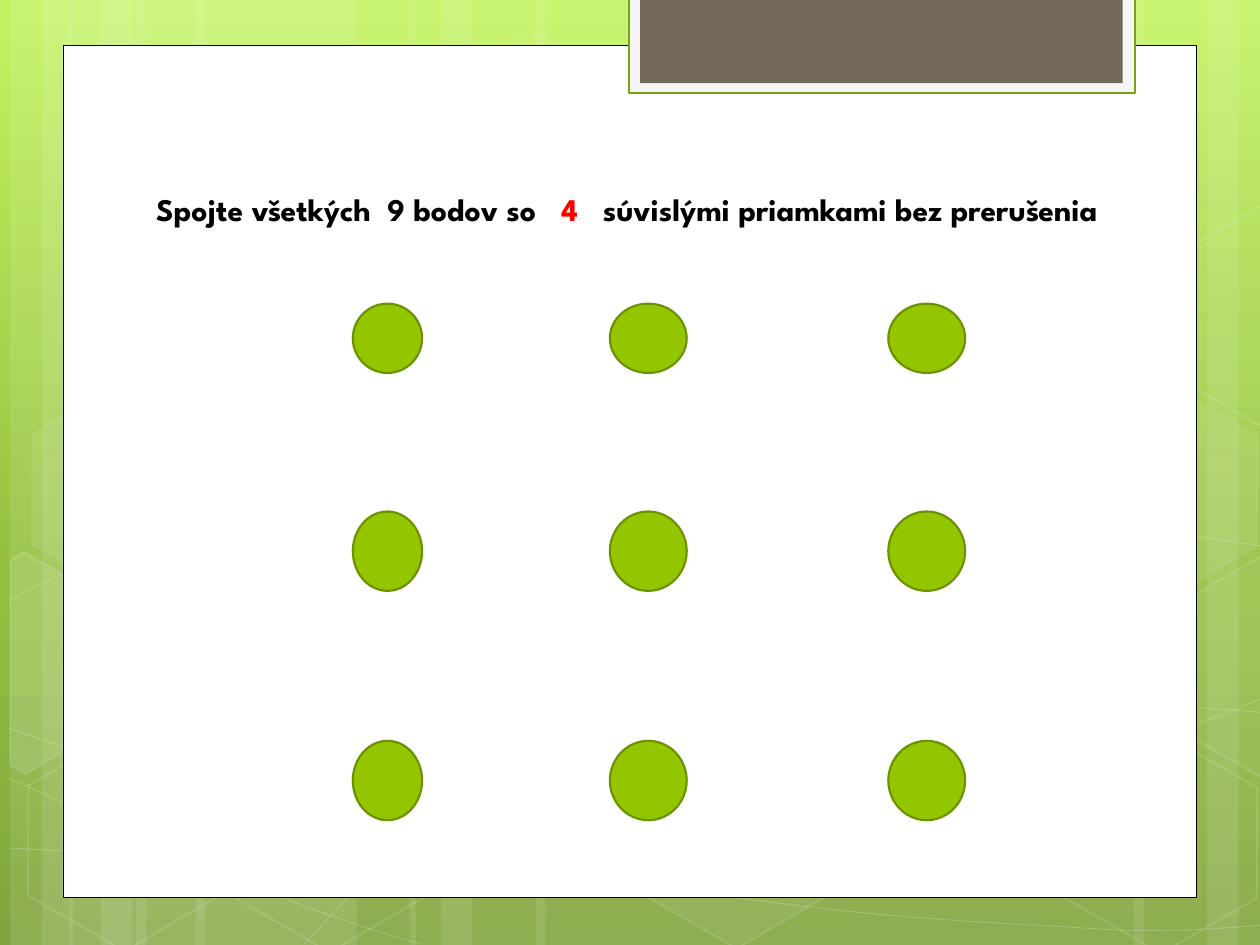
from copy import deepcopy
from math import cos, radians, sin

from lxml import etree
from pptx import Presentation
from pptx.dml.color import RGBColor
from pptx.enum.shapes import MSO_SHAPE
from pptx.enum.text import MSO_ANCHOR
from pptx.oxml.ns import qn
from pptx.util import Inches, Pt

RECTANGLE, ELLIPSE, HEXAGON = MSO_SHAPE.RECTANGLE, MSO_SHAPE.OVAL, MSO_SHAPE.HEXAGON
BOTTOM = MSO_ANCHOR.BOTTOM
TILT = 30

COLORS = {
    "white": "FFFFFF", "black": "000000", "red": "FF0000",
    "sky": "C3F35F", "leaf": "93BF3F", "moss": "81A53E",
    "tab": "F5F5F5", "tab_edge": "74A510", "tab_core": "71685A",
    "dot": "94C600", "dot_edge": "6D9200",
}
BACKGROUND = [(0, "sky"), (0.62, "leaf"), (1, "moss")]
TITLE_FONT = {"name": "League Spartan", "size": Pt(18), "bold": True}
TITLE = [
    ("Spojte všetkých  9 bodov so   ", "black"),
    ("4 ", "red"),
    ("  súvislými priamkami bez prerušenia", "black"),
]

LEFT_BANDS = [(1.08, 1.75), (0.08, 0.5), (0.33, 0.83), (1.55, 1.75), (0.55, 0.5), (0.8, 0.83)]
RIGHT_BANDS = [(7.33, 1.75), (9.58, 0.5), (9, 0.83)]
MIDDLE_BANDS = [(4.25, 3.08), (3.25, 0.5), (3.5, 0.83)]
CURVES = [
    [(0.07, 6.73), (0.61, 6.76), (1.15, 6.79), (1.9, 6.78), (2.65, 6.77), (3.58, 6.75),
     (4.58, 6.65), (5.58, 6.55), (7, 6.36), (7.92, 6.17), (8.83, 5.98), (9.77, 5.68),
     (10.07, 5.51)],
    [(0.07, 4.77), (0.36, 4.61), (0.65, 4.46), (1.21, 4.31), (1.78, 4.16), (2.59, 3.94),
     (3.47, 3.87), (4.36, 3.8), (5.44, 3.79), (6.54, 3.87), (7.64, 3.95), (9.47, 4.26),
     (10.07, 4.34)],
    [(0.06, 6.17), (1.27, 6.72), (2.47, 7.27), (3.34, 7.49)],
    [(0.07, 5.78), (0.38, 5.89), (0.7, 6), (1.28, 6.16), (1.86, 6.31), (2.73, 6.56),
     (3.57, 6.73), (4.4, 6.9), (5.45, 7.08), (6.28, 7.18), (7.11, 7.29), (8, 7.33),
     (8.53, 7.36), (9.05, 7.4), (9.19, 7.38), (9.45, 7.38), (9.71, 7.37), (9.89, 7.35),
     (10.07, 7.34)],
    [(2.42, 7.49), (2.6, 7.29), (2.78, 7.09), (3.02, 6.91), (3.26, 6.73), (3.6, 6.53),
     (3.88, 6.39), (4.16, 6.25), (4.33, 6.19), (4.7, 6.09), (5.06, 5.99), (5.73, 5.85),
     (6.08, 5.78), (6.44, 5.71), (6.49, 5.71), (6.8, 5.69), (7.11, 5.66), (7.6, 5.63),
     (7.94, 5.62), (8.29, 5.61), (8.86, 5.62), (8.86, 5.62), (9.08, 5.62), (9.31, 5.62),
     (9.53, 5.62), (9.71, 5.63), (9.88, 5.64), (9.97, 5.65), (10.06, 5.66),
     (10.03, 5.65), (10.06, 5.66)],
]
HEXAGONS = [(3.34, 0.36, 4, 8), (4.97, 5.89, 6, 12)]
LEFT_HEXAGONS = [(0.11, 5.91, 0, 12), (0.14, 3.12, 7, 8), (1.74, 5.92, 0, 12),
                 (7.53, 4.53, 10, 12), (8.34, 5.93, 0, 12), (8.34, 3.14, 7, 8)]
LEFT_CUT = ([(0.08, 4.45), (0.19, 4.38), (0.96, 4.82), (0.95, 5.7), (0.2, 6.14),
             (0.08, 6.07)], (0.36, 5.35), 10)
RIGHT_CUTS = [
    ([(9.26, 4.85), (10.01, 4.41), (10.09, 4.46), (10.09, 6.13), (10.02, 6.17),
      (9.26, 5.73)], (9.85, 5.2), 4),
    ([(9.26, 2.07), (10.01, 1.63), (10.1, 1.68), (10.09, 3.35), (10.02, 3.39),
      (9.26, 2.95)], (9.85, 2.41), 0),
]
PANELS = [
    ((0.5, 0.36, 9, 6.76), "white", ("black", 0.5)),
    ((4.99, -0.02, 4.02, 0.76), "tab", ("tab_edge", 1.25)),
    ((5.08, -0.02, 3.83, 0.68), "tab_core", None),
]
DOT_COLUMNS = [(2.8, 0.55), (4.84, 0.61), (7.05, 0.61)]
DOT_ROWS = [(2.41, 0.55), (4.06, 0.63), (5.88, 0.63)]


def turn_back(point, center):
    """Undo the tilt of a point about a center."""
    angle = radians(TILT)
    x, y = point[0] - center[0], point[1] - center[1]
    return (center[0] + x * cos(angle) + y * sin(angle),
            center[1] - x * sin(angle) + y * cos(angle))


class SlidePainter:
    """Draw styled elements on the current slide."""

    def __init__(self, slide, colors):
        self.slide = slide
        self.colors = colors

    def rgb(self, name):
        return RGBColor.from_string(self.colors[name])

    def paint(self, fill, name, opacity=100):
        if not name or not opacity:
            fill.background()
            return
        fill.solid()
        fill.fore_color.rgb = self.rgb(name)
        if opacity < 100:
            color = fill._xPr.find(".//" + qn("a:srgbClr"))
            etree.SubElement(color, qn("a:alpha"), val=str(opacity * 1000))

    def style(self, shape, fill, line=None, opacity=100, line_opacity=100):
        shape.shadow.inherit = False
        self.paint(shape.fill, fill, opacity)
        edge, width = line or (None, 0)
        self.paint(shape.line.fill, edge, line_opacity)
        if edge:
            shape.line.width = Pt(width)
        return shape

    def background(self, stops):
        fill = self.slide.background.fill
        fill.gradient()
        fill.gradient_angle = 270
        stop_list = self.slide._element.find(".//" + qn("a:gsLst"))
        stop_list.append(deepcopy(stop_list[0]))
        for stop, (position, name) in zip(fill.gradient_stops, stops):
            stop.position = position
            stop.color.rgb = self.rgb(name)

    def shape(self, preset, box, fill, line=None, rotation=0, **opacities):
        shape = self.slide.shapes.add_shape(preset, *map(Inches, box))
        shape.rotation = rotation
        return self.style(shape, fill, line, **opacities)

    def bands(self, spans, rotation=0):
        for left, width in spans:
            self.shape(RECTANGLE, (left, 0, width, 7.5), "white",
                       rotation=rotation, opacity=10)

    def hexagon(self, left, top, opacity, line_opacity):
        hexagon = self.shape(HEXAGON, (left, top, 1.75, 1.52), "white", ("white", 1),
                             TILT, opacity=opacity, line_opacity=line_opacity)
        hexagon.adjustments[0] = 0.285

    def outline(self, points, closed):
        start, *rest = [(Inches(x), Inches(y)) for x, y in points]
        builder = self.slide.shapes.build_freeform(*start)
        builder.add_line_segments(rest, close=closed)
        return builder.convert_to_shape()

    def curve(self, controls):
        curve = self.outline(controls, False)
        path_element = curve._element.find(".//" + qn("a:path"))
        lines = path_element.findall(qn("a:lnTo"))
        for first in range(0, len(lines), 3):
            bezier = etree.SubElement(path_element, qn("a:cubicBezTo"))
            for line in lines[first:first + 3]:
                bezier.append(line[0])
                path_element.remove(line)
        self.style(curve, None, ("white", 0.5), line_opacity=20)

    def cut_hexagon(self, corners, center, opacity):
        cut = self.outline([turn_back(corner, center) for corner in corners], True)
        cut.rotation = TILT
        self.style(cut, "white", ("white", 1), opacity, 12)

    def title(self, box, runs, font_values):
        frame = self.slide.shapes.add_textbox(*map(Inches, box)).text_frame
        frame.word_wrap = True
        frame.vertical_anchor = BOTTOM
        for text, color in runs:
            run = frame.paragraphs[0].add_run()
            run.text = text
            for attribute, value in font_values.items():
                setattr(run.font, attribute, value)
            run.font.color.rgb = self.rgb(color)


def main():
    presentation = Presentation()
    presentation.slide_width, presentation.slide_height = Inches(10), Inches(7.5)
    painter = SlidePainter(
        presentation.slides.add_slide(presentation.slide_layouts[6]), COLORS)
    painter.background(BACKGROUND)
    painter.bands(LEFT_BANDS)
    painter.bands(RIGHT_BANDS, 180)
    painter.bands(MIDDLE_BANDS)
    for controls in CURVES:
        painter.curve(controls)
    for hexagon in HEXAGONS:
        painter.hexagon(*hexagon)
    painter.cut_hexagon(*LEFT_CUT)
    for hexagon in LEFT_HEXAGONS:
        painter.hexagon(*hexagon)
    for cut in RIGHT_CUTS:
        painter.cut_hexagon(*cut)
    for box, fill, line in PANELS:
        painter.shape(RECTANGLE, box, fill, line)
    for top, height in DOT_ROWS:
        for left, width in DOT_COLUMNS:
            painter.shape(ELLIPSE, (left, top, width, height), "dot", ("dot_edge", 1.25))
    painter.title((1.14, 1.12, 7.68, 0.74), TITLE, TITLE_FONT)
    presentation.save("out.pptx")


if __name__ == "__main__":
    main()
